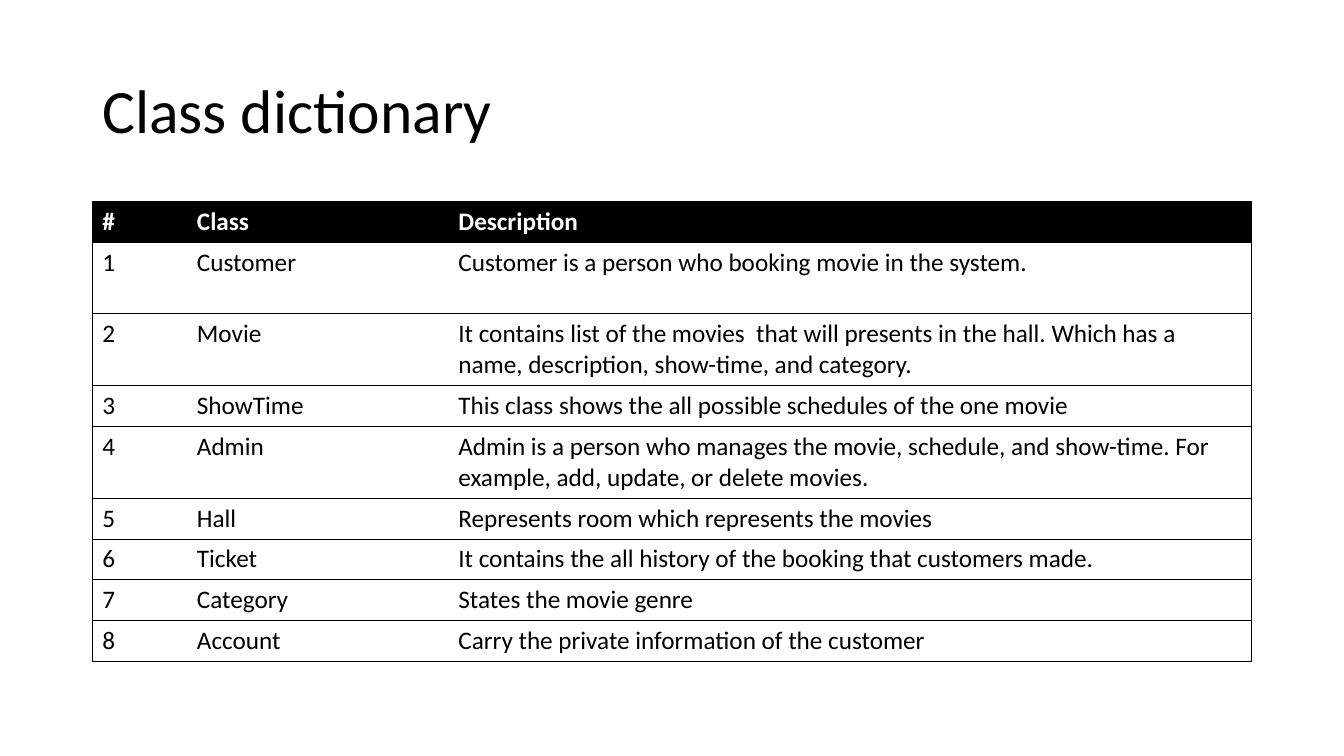
from lxml.etree import SubElement
from pptx import Presentation
from pptx.dml.color import RGBColor
from pptx.enum.text import MSO_ANCHOR, MSO_AUTO_SIZE, PP_ALIGN
from pptx.oxml.ns import qn
from pptx.util import Pt

COLORS = {"ink": "000000", "paper": "FFFFFF"}
HEAD = ("#", "Class", "Description")
CLASSES = [
    ("Customer", "Customer is a person who booking movie in the system."),
    ("Movie", "It contains list of the movies  that will presents in the hall. "
              "Which has a name, description, show-time, and category."),
    ("ShowTime", "This class shows the all possible schedules of the one movie"),
    ("Admin", "Admin is a person who manages the movie, schedule, and show-time. "
              "For example, add, update, or delete movies."),
    ("Hall", "Represents room which represents the movies"),
    ("Ticket", "It contains the all history of the booking that customers made."),
    ("Category", "States the movie genre"),
    ("Account", "Carry the private information of the customer"),
]
TALL = {"Customer", "Movie", "Admin"}


def apply(item, values):
    for name, value in values.items():
        setattr(item, name, value)


class Deck:
    def __init__(self, wide, high):
        self.show = Presentation()
        apply(self.show, {"slide_width": Pt(wide), "slide_height": Pt(high)})
        self.slide = self.show.slides.add_slide(self.show.slide_layouts[5])
        self.face = "Calibri"

    def label(self, frame, text, size, color, bold=False):
        line = frame.paragraphs[0]
        run = line.add_run()
        run.text = text
        apply(run.font, {"name": self.face, "size": Pt(size), "bold": bold})
        run.font.color.rgb = RGBColor.from_string(COLORS[color])
        return line

    def title(self, text, left, top, wide, high):
        box = self.slide.shapes.title
        apply(box, {"left": Pt(left), "top": Pt(top),
                    "width": Pt(wide), "height": Pt(high)})
        apply(box.text_frame, {"word_wrap": True,
                               "auto_size": MSO_AUTO_SIZE.NONE,
                               "vertical_anchor": MSO_ANCHOR.MIDDLE})
        line = self.label(box.text_frame, text, 44, "ink")
        apply(line, {"alignment": PP_ALIGN.LEFT, "line_spacing": 0.9})

    def edge(self, cell, side, drawn):
        line = SubElement(cell._tc.get_or_add_tcPr(), qn("a:ln" + side),
                          w=str(Pt(0.5)))
        if drawn:
            fill = SubElement(line, qn("a:solidFill"))
            SubElement(fill, qn("a:srgbClr"), val=COLORS["ink"])
        else:
            SubElement(line, qn("a:noFill"))

    def table(self, rows, left, top, widths, heights):
        grid = self.slide.shapes.add_table(
            len(rows), len(widths), Pt(left), Pt(top),
            Pt(sum(widths)), Pt(sum(heights))).table
        apply(grid, {"first_row": True, "horz_banding": False})
        for col, wide in zip(grid.columns, widths):
            col.width = Pt(wide)
        for row, high in zip(grid.rows, heights):
            row.height = Pt(high)
        last = len(widths) - 1
        for r, row in enumerate(rows):
            head = r == 0
            for c, text in enumerate(row):
                cell = grid.cell(r, c)
                sides = {"L": c == 0, "R": c == last, "T": True, "B": True}
                for side, drawn in sides.items():
                    self.edge(cell, side, drawn)
                if head:
                    cell.fill.solid()
                    cell.fill.fore_color.rgb = RGBColor.from_string(COLORS["ink"])
                else:
                    cell.fill.background()
                self.label(cell.text_frame, text, 18,
                           "paper" if head else "ink", head)


def main():
    deck = Deck(960, 540)
    deck.title("Class dictionary", 66, 28.75, 828, 104.4)
    rows = [HEAD] + [(str(n), *row) for n, row in enumerate(CLASSES, 1)]
    heights = [51.2 if row[1] in TALL else 29.2 for row in rows]
    deck.table(rows, 66, 143.75, [67.5, 186.75, 573.75], heights)
    deck.show.save("out.pptx")


if __name__ == "__main__":
    main()
